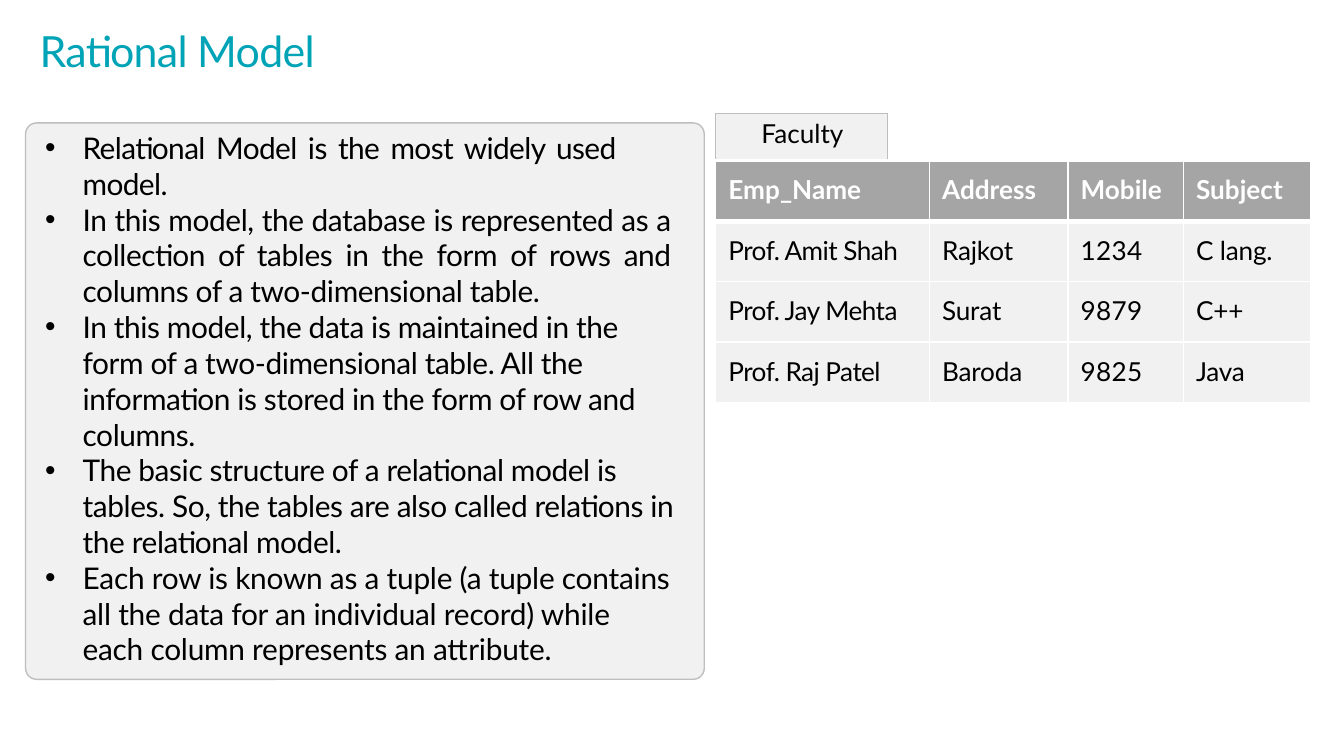
from lxml import etree
from pptx import Presentation
from pptx.dml.color import RGBColor
from pptx.enum.shapes import MSO_SHAPE
from pptx.enum.text import PP_ALIGN
from pptx.oxml.ns import qn
from pptx.util import Pt

PX = 4572  # 200 px to the inch
ROUND = MSO_SHAPE.ROUNDED_RECTANGLE
LEFT, JUST = PP_ALIGN.LEFT, PP_ALIGN.JUSTIFY
HEX = {"teal": "00A4B6", "black": "000000", "white": "FFFFFF",
       "pale": "F1F1F1", "edge": "BEBEBE", "head": "A5A5A5"}
RGB = {name: RGBColor.from_string(code) for name, code in HEX.items()}


def style(par, size, color, bold=False, gap=0):
    """Format every run; gap is the letter spacing in points."""
    for run in par.runs:
        run.font.name = "Lato"
        run.font.size = Pt(size)
        run.font.bold = bold
        run.font.color.rgb = RGB[color]
        run._r.get_or_add_rPr().set("spc", str(round(gap * 100)))


def rule(cell, side, color, width):
    """Draw one border; sides must come in the order L, R, T, B."""
    line = etree.SubElement(cell._tc.get_or_add_tcPr(), qn("a:ln" + side),
                            w=str(Pt(width)))
    fill = etree.SubElement(line, qn("a:solidFill"))
    etree.SubElement(fill, qn("a:srgbClr"), val=HEX[color])


deck = Presentation()
deck.slide_width, deck.slide_height = 2000 * PX, 1125 * PX
slide = deck.slides.add_slide(deck.slide_layouts[6])
shapes = slide.shapes

# Panel behind the points
panel = shapes.add_shape(ROUND, 38 * PX, 183 * PX, 1010 * PX, 828 * PX)
panel.adjustments[0] = 0.02
panel.shadow.inherit = False
panel.fill.solid()
panel.fill.fore_color.rgb = RGB["pale"]
panel.line.color.rgb = RGB["edge"]
panel.line.width = Pt(0.75)

# Title and points
frames = []
for x, y, w, h in [(59, 34, 1352, 82), (65, 191, 954, 806)]:
    frame = shapes.add_textbox(x * PX, y * PX, w * PX, h * PX).text_frame
    frame.word_wrap = True
    frame.margin_left = frame.margin_right = frame.margin_bottom = 0
    frame.margin_top = 2 * PX
    frames.append(frame)
title, body = frames

title.text = "Rational Model"
style(title.paragraphs[0], 23, "teal", gap=-0.4)

# Text, alignment, right indent in px, letter spacing
points = [
    ("Relational Model is the most widely used model.", JUST, 102, -0.3),
    ("In this model, the database is represented as a collection of tables "
     "in the form of rows and columns of a two-dimensional table.",
     JUST, 20, -0.2),
    ("In this model, the data is maintained in the form of a two-dimensional "
     "table. All the information is stored in the form of row and columns.",
     LEFT, 60, -0.2),
    ("The basic structure of a relational model is tables. So, the tables are "
     "also called relations in the relational model.", LEFT, 10, -0.2),
    ("Each row is known as a tuple (a tuple contains all the data for an "
     "individual record) while each column represents an attribute.",
     LEFT, 10, -0.1),
]
body.text = "\n".join(point[0] for point in points)
for par, (_, align, inset, gap) in zip(body.paragraphs, points):
    par.alignment = align
    style(par, 16, "black", gap=gap)
    props = par._p.get_or_add_pPr()
    props.set("marL", str(58 * PX))
    props.set("marR", str(inset * PX))
    props.set("indent", str(-56 * PX))
    etree.SubElement(props, qn("a:buFont"), typeface="Arial")
    etree.SubElement(props, qn("a:buChar"), char="•")

# Faculty table: a tab row above a header and three records
cols = [256, 62, 206, 172, 190]
rows = [70, 90, 90, 90, 90]
gaps = [-0.3, 0, -0.1, 0.2, -0.1]
data = [
    ["Faculty", "", "", "", ""],
    ["Emp_Name", "", "Address", "Mobile", "Subject"],
    ["Prof. Amit Shah", "", "Rajkot", "1234", "C lang."],
    ["Prof. Jay Mehta", "", "Surat", "9879", "C++"],
    ["Prof. Raj Patel", "", "Baroda", "9825", "Java"],
]
table = shapes.add_table(len(rows), len(cols), 1065 * PX, 169 * PX,
                         sum(cols) * PX, sum(rows) * PX).table
table.first_row = table.horz_banding = False
for col, width in zip(table.columns, cols):
    col.width = width * PX
for row, height in zip(table.rows, rows):
    row.height = height * PX

for r, line in enumerate(data):
    for c, text in enumerate(line):
        cell = table.cell(r, c)
        tab, head = r == 0, r == 1
        cell.margin_left = (68 if tab else 19) * PX
        cell.margin_top = (6 if tab else 20) * PX
        cell.margin_right = cell.margin_bottom = 0
        cell.text = text
        style(cell.text_frame.paragraphs[0], 14, "white" if head else "black",
              head, 0 if r < 2 else gaps[c])
        if tab and c == 0:
            for side in "LRT":
                rule(cell, side, "edge", 0.75)
            rule(cell, "B", "white", 2.25)
        elif tab:
            if c == 1:
                rule(cell, "L", "edge", 0.75)
            rule(cell, "B", "white", 1)
        else:
            rule(cell, "L", "white", 1)
            rule(cell, "R", "white", 1)
            top = 3 if r == 2 else 2.25 if head and c == 0 else 1
            rule(cell, "T", "white", top)
            rule(cell, "B", "white", 3 if head else 1)
        if tab and c > 0:
            cell.fill.background()
        else:
            cell.fill.solid()
            cell.fill.fore_color.rgb = RGB["head" if head else "pale"]

table.cell(0, 1).merge(table.cell(0, 4))
for r in range(1, len(rows)):
    table.cell(r, 0).merge(table.cell(r, 1))

deck.save("out.pptx")
